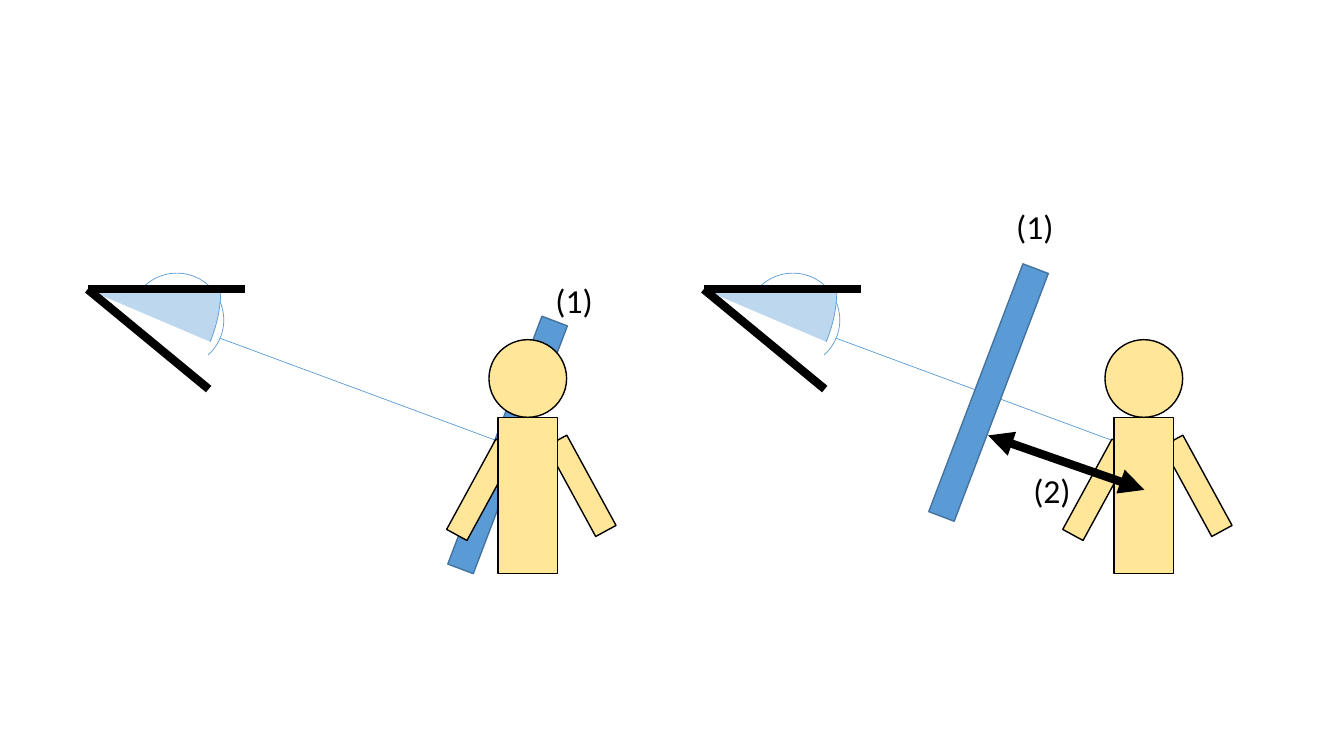
from lxml import etree
from pptx import Presentation
from pptx.dml.color import RGBColor
from pptx.enum.shapes import MSO_CONNECTOR, MSO_SHAPE
from pptx.oxml.ns import qn
from pptx.util import Inches, Pt

BLUE, DARK_BLUE, PALE_BLUE = "5B9BD5", "43739E", "BDD7EE"
SKIN, BLACK, WHITE = "FFE699", "000000", "FFFFFF"


def rgb(color):
    return RGBColor.from_string(color)


def add_line(slide, x1, y1, x2, y2, color=BLACK, width=6, arrows=False):
    line = slide.shapes.add_connector(
        MSO_CONNECTOR.STRAIGHT, Inches(x1), Inches(y1), Inches(x2), Inches(y2))
    line.line.color.rgb = rgb(color)
    line.line.width = Pt(width)
    etree.SubElement(line._element.spPr, qn("a:effectLst"))
    if arrows:
        ln = line.line._get_or_add_ln()
        for end in ("a:headEnd", "a:tailEnd"):
            etree.SubElement(ln, qn(end), type="triangle")


def add_part(slide, kind, x, y, w, h, fill, outline=BLACK, width=1, rotation=0):
    sp = slide.shapes.add_shape(kind, Inches(x), Inches(y), Inches(w), Inches(h))
    sp.shadow.inherit = False
    sp.fill.solid()
    sp.fill.fore_color.rgb = rgb(fill)
    sp.line.color.rgb = rgb(outline)
    sp.line.width = Pt(width)
    sp.rotation = rotation
    return sp


def add_arc(slide, x, y, size, start, end, fill):
    """Add a filled circular arc between two angles in degrees."""
    arc = add_part(slide, MSO_SHAPE.ARC, x, y, size, size, fill, BLUE, 0.5)
    # Angles are stored in 1/60000 degree, adjustments in 1/100000
    arc.adjustments[0] = start * 0.6
    arc.adjustments[1] = end * 0.6


def add_label(slide, text, x, y):
    box = slide.shapes.add_textbox(Inches(x), Inches(y), Inches(0.59), Inches(0.5))
    tf = box.text_frame
    tf.word_wrap = False
    p = tf.paragraphs[0]
    p.text = text
    p.font.name = "Calibri"
    p.font.size = Pt(24)
    p.font.color.rgb = rgb(BLACK)


def add_viewing_angle(slide, x, y):
    """Draw the angle with its apex at (x, y) and the line of sight."""
    add_line(slide, x, y, x + 4.16, y + 1.54, BLUE, 0.5)
    add_arc(slide, x + 0.42, y - 0.16, 0.93, 197.32, 48.29, WHITE)
    add_arc(slide, x - 1.31, y - 1.31, 2.63, 0.62, 23.09, PALE_BLUE)
    add_line(slide, x, y, x + 1.56, y)
    add_line(slide, x, y, x + 1.2, y + 0.99)


def add_plane(slide, x, y):
    add_part(slide, MSO_SHAPE.RECTANGLE, x, y, 0.27, 2.63, BLUE, DARK_BLUE,
             rotation=20.8)


def add_person(slide, x, y):
    """Draw a figure whose head box starts at (x, y)."""
    add_part(slide, MSO_SHAPE.OVAL, x, y, 0.77, 0.77, SKIN)
    for dx, dy, rotation in ((0.8, 0.94, 331.4), (-0.19, 0.98, 28.6)):
        add_part(slide, MSO_SHAPE.RECTANGLE, x + dx, y + dy, 0.23, 1.02, SKIN,
                 rotation=rotation)
    add_part(slide, MSO_SHAPE.RECTANGLE, x + 0.09, y + 0.77, 0.59, 1.55, SKIN)


def add_scene(slide, x, y, plane_dx, plane_dy):
    add_viewing_angle(slide, x, y)
    add_plane(slide, x + plane_dx, y + plane_dy)
    add_person(slide, x + 3.98, y + 0.5)


def main():
    prs = Presentation()
    prs.slide_width, prs.slide_height = Inches(13.33), Inches(7.5)
    slide = prs.slides.add_slide(prs.slide_layouts[6])

    left, right, top = 0.87, 6.98, 2.87
    add_scene(slide, left, top, 4.03, 0.23)
    add_scene(slide, right, top, 2.69, -0.29)
    add_line(slide, right + 2.82, top + 1.45, right + 4.37, top + 1.99, arrows=True)
    add_label(slide, "(1)", right + 3, top - 0.88)
    add_label(slide, "(2)", right + 3.17, top + 1.74)
    add_label(slide, "(1)", left + 4.54, top - 0.14)
    prs.save("out.pptx")


if __name__ == "__main__":
    main()
